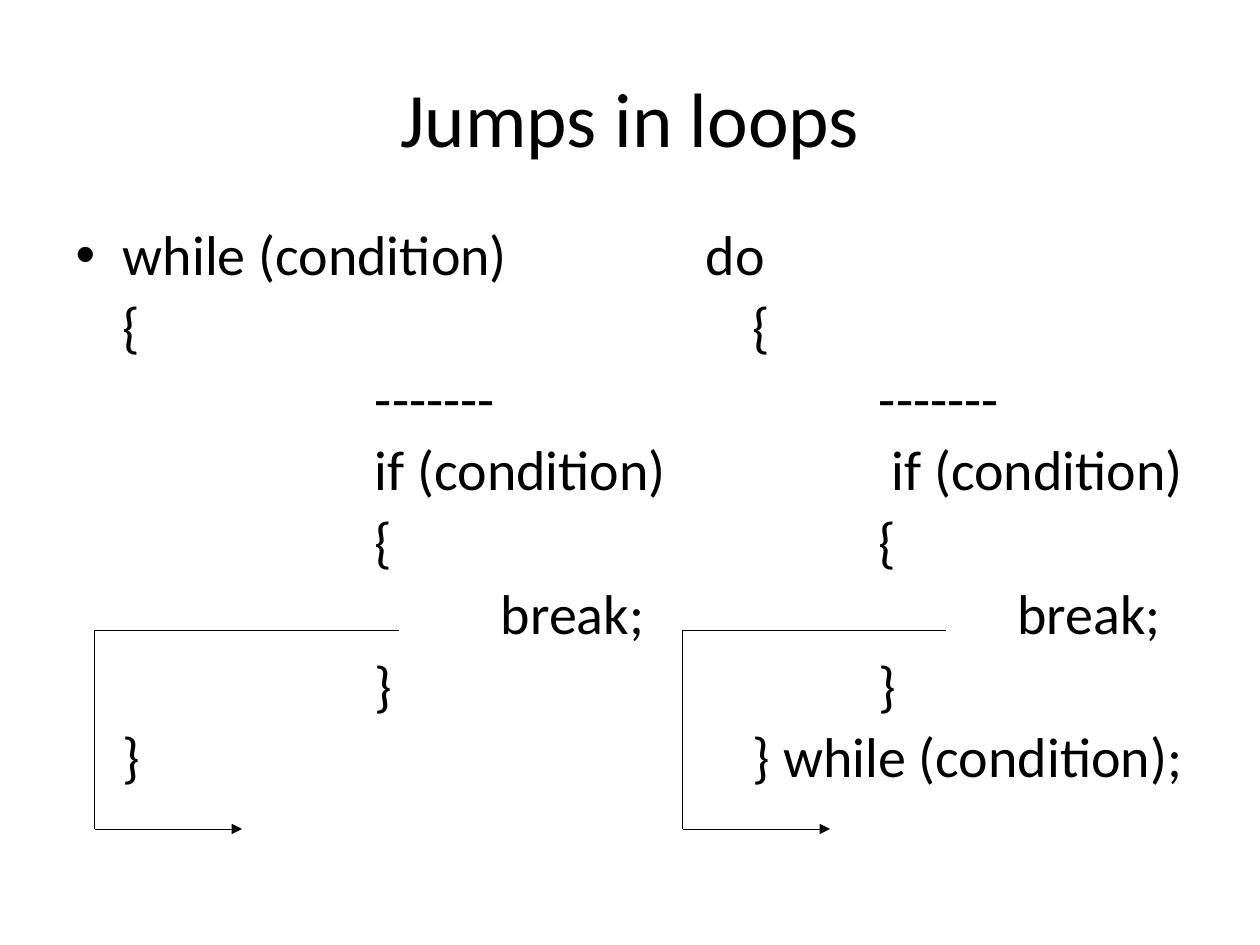
from itertools import pairwise

from pptx import Presentation
from pptx.dml.color import RGBColor
from pptx.enum import shapes, text
from pptx.oxml.ns import qn
from pptx.util import Pt
from pptx import util as u
from lxml import etree

PX_PER_INCH = 126
CODE_LINES = [
    "while (condition)\t\tdo",
    "\t{\t\t\t\t\t{",
    "\t\t\t-------\t\t\t\t-------",
    "\t\t\tif (condition)\t\t if (condition)",
    "\t\t\t{\t\t\t\t{",
    "\t\t\t\tbreak;\t\t\t break;",
    "\t\t\t}\t\t\t\t}",
    "\t}\t\t\t\t\t} while (condition);",
]


def px(length):
    return u.Emu(round(length * u.Inches(1) / PX_PER_INCH))


def color(value):
    return RGBColor.from_string(value)


class SlideBuilder:
    """Holds the style and the current slide, and adds each kind of element."""

    font = "Calibri"
    ink = "000000"
    tab_width = PX_PER_INCH

    def __init__(self, presentation):
        layout = presentation.slide_layouts[1]
        self.slide = presentation.slides.add_slide(layout)

    def place(self, shape, left, top, width, height):
        shape.left, shape.top = px(left), px(top)
        shape.width, shape.height = px(width), px(height)

    def format_runs(self, paragraph, size):
        for run in paragraph.runs:
            run.font.name = self.font
            run.font.size = Pt(size)
            run.font.color.rgb = color(self.ink)

    def title(self, wording, box):
        shape = self.slide.shapes.title
        self.place(shape, *box)
        frame = shape.text_frame
        frame.text = wording
        frame.vertical_anchor = text.MSO_ANCHOR.MIDDLE
        frame.paragraphs[0].alignment = text.PP_ALIGN.CENTER
        self.format_runs(frame.paragraphs[0], 44)

    def code(self, lines, box):
        shape = self.slide.placeholders[1]
        self.place(shape, *box)
        frame = shape.text_frame
        frame.text = "\n".join(lines)
        frame.auto_size = text.MSO_AUTO_SIZE.NONE
        for index, paragraph in enumerate(frame.paragraphs):
            paragraph.line_spacing = 0.9
            self.format_runs(paragraph, 32)
            properties = paragraph._p.get_or_add_pPr()
            properties.set("defTabSz", str(px(self.tab_width)))
            if index:
                etree.SubElement(properties, qn("a:buNone"))

    def line(self, group, start, end, arrow):
        connector = group.shapes.add_connector(
            shapes.MSO_CONNECTOR.STRAIGHT, *map(px, start + end))
        connector.line.color.rgb = color(self.ink)
        if arrow:
            outline = connector.line._get_or_add_ln()
            etree.SubElement(outline, qn("a:tailEnd"), type="triangle")
        element = connector._element
        etree.SubElement(element.spPr, qn("a:effectLst"))
        element.remove(element.find(qn("p:style")))

    def jump(self, start_x, left, end_x, top, bottom):
        group = self.slide.shapes.add_group_shape()
        corners = [(start_x, top), (left, top), (left, bottom), (end_x, bottom)]
        for start, end in pairwise(corners):
            self.line(group, start, end, arrow=end == corners[-1])


def main():
    presentation = Presentation()
    presentation.slide_width, presentation.slide_height = px(1260), px(945)
    builder = SlideBuilder(presentation)
    builder.code(CODE_LINES, (63, 221, 1134, 624))
    builder.title("Jumps in loops", (63, 38, 1134, 158))
    for start_x, left in ((399, 95), (945, 683)):
        builder.jump(start_x, left, left + 147, top=630, bottom=829)
    presentation.save("out.pptx")


if __name__ == "__main__":
    main()
